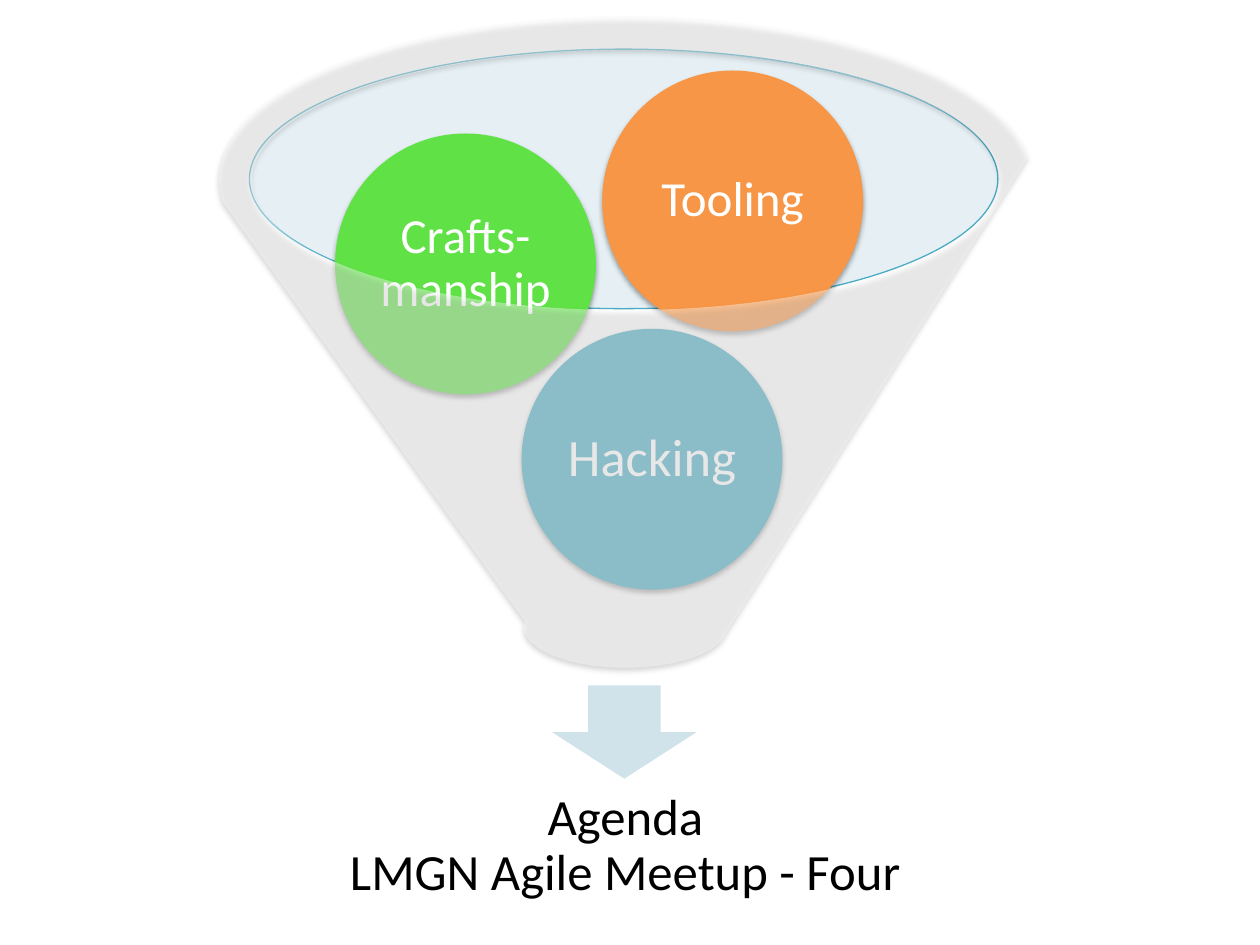
import pptx
import pptx.dml.color
import pptx.enum.shapes
import pptx.enum.text
import pptx.oxml
import pptx.oxml.ns
import pptx.util

Inches = pptx.util.Inches
Pt = pptx.util.Pt
RGB = pptx.dml.color.RGBColor
KIND = pptx.enum.shapes.MSO_SHAPE

BLACK = RGB(0x00, 0x00, 0x00)
WHITE = RGB(0xFF, 0xFF, 0xFF)
TEAL = RGB(0x4B, 0xAC, 0xC6)
GREEN = RGB(0x60, 0xE1, 0x46)
ORANGE = RGB(0xF7, 0x96, 0x46)
PALE = RGB(0xC1, 0xDB, 0xE5)
MIST = RGB(0xD0, 0xE3, 0xEA)
BALL = 2.07


def draw(kind, box, color, alpha=None, shade=None):
    """Add a plain shape; alpha and shade are percentages of opacity."""
    shape = slide.shapes.add_shape(kind, *[Inches(n) for n in box])
    shape.shadow.inherit = False
    shape.fill.solid()
    shape.fill.fore_color.rgb = color
    shape.line.fill.background()
    names = pptx.oxml.ns.nsdecls("a")
    if alpha:
        tint = shape.element.xpath("./p:spPr/a:solidFill/a:srgbClr")[0]
        tint.append(pptx.oxml.parse_xml(f'<a:alpha {names} val="{alpha * 1000}"/>'))
    if shade:
        list_ = shape.element.xpath("./p:spPr/a:effectLst")[0]
        list_.append(pptx.oxml.parse_xml(
            f'<a:outerShdw {names} blurRad="{Pt(3.1)}" dist="{Pt(1.7)}" dir="5400000" '
            f'rotWithShape="0"><a:srgbClr val="000000"><a:alpha val="{shade * 1000}"/>'
            '</a:srgbClr></a:outerShdw>'))
    return shape


def write(shape, text, size, color, inset):
    """Set centred text in a shape or placeholder."""
    frame = shape.text_frame
    gap = Inches(inset)
    look = {
        "word_wrap": True,
        "auto_size": pptx.enum.text.MSO_AUTO_SIZE.NONE,
        "vertical_anchor": pptx.enum.text.MSO_ANCHOR.MIDDLE,
        "margin_left": gap, "margin_right": gap,
        "margin_top": gap, "margin_bottom": gap,
    }
    for name, value in look.items():
        setattr(frame, name, value)
    para = frame.paragraphs[0]
    para.text = text
    para.alignment = pptx.enum.text.PP_ALIGN.CENTER
    para.line_spacing = 0.9
    for run in para.runs:
        for name, value in {"name": "Calibri", "size": Pt(size)}.items():
            setattr(run.font, name, value)
        run.font.color.rgb = color


# Slide
deck = pptx.Presentation()
deck.slide_width = Inches(10)
deck.slide_height = Inches(7.5)
slide = deck.slides.add_slide(deck.slide_layouts[5])

# Title under the funnel
title = slide.shapes.title
place = {"left": 2.2, "top": 6.03, "width": 5.53, "height": 1.38}
for name, value in place.items():
    setattr(title, name, Inches(value))
write(title, "Agenda\nLMGN Agile Meetup - Four", 29, BLACK, 0.23)

# Funnel mouth and arrow
mouth = draw(KIND.OVAL, (1.98, 0.39, 5.94, 2.06), PALE, alpha=40)
mouth.line.color.rgb = TEAL
mouth.line.width = Pt(0.75)
draw(KIND.DOWN_ARROW, (4.38, 5.44, 1.15, 0.74), MIST)

# Topic balls
balls = [
    ("Hacking", 4.14, 2.61, TEAL, 30),
    ("Crafts-manship", 2.66, 1.06, GREEN, 28),
    ("Tooling", 4.78, 0.56, ORANGE, 28),
]
for text, left, top, color, size in balls:
    ball = draw(KIND.OVAL, (left, top, BALL, BALL), color, shade=35)
    write(ball, text, size, WHITE, 0.04)

# Glassy funnel in front
draw(KIND.FUNNEL, (1.74, 0.14, 6.45, 5.16), WHITE, alpha=40, shade=38)

deck.save("out.pptx")
